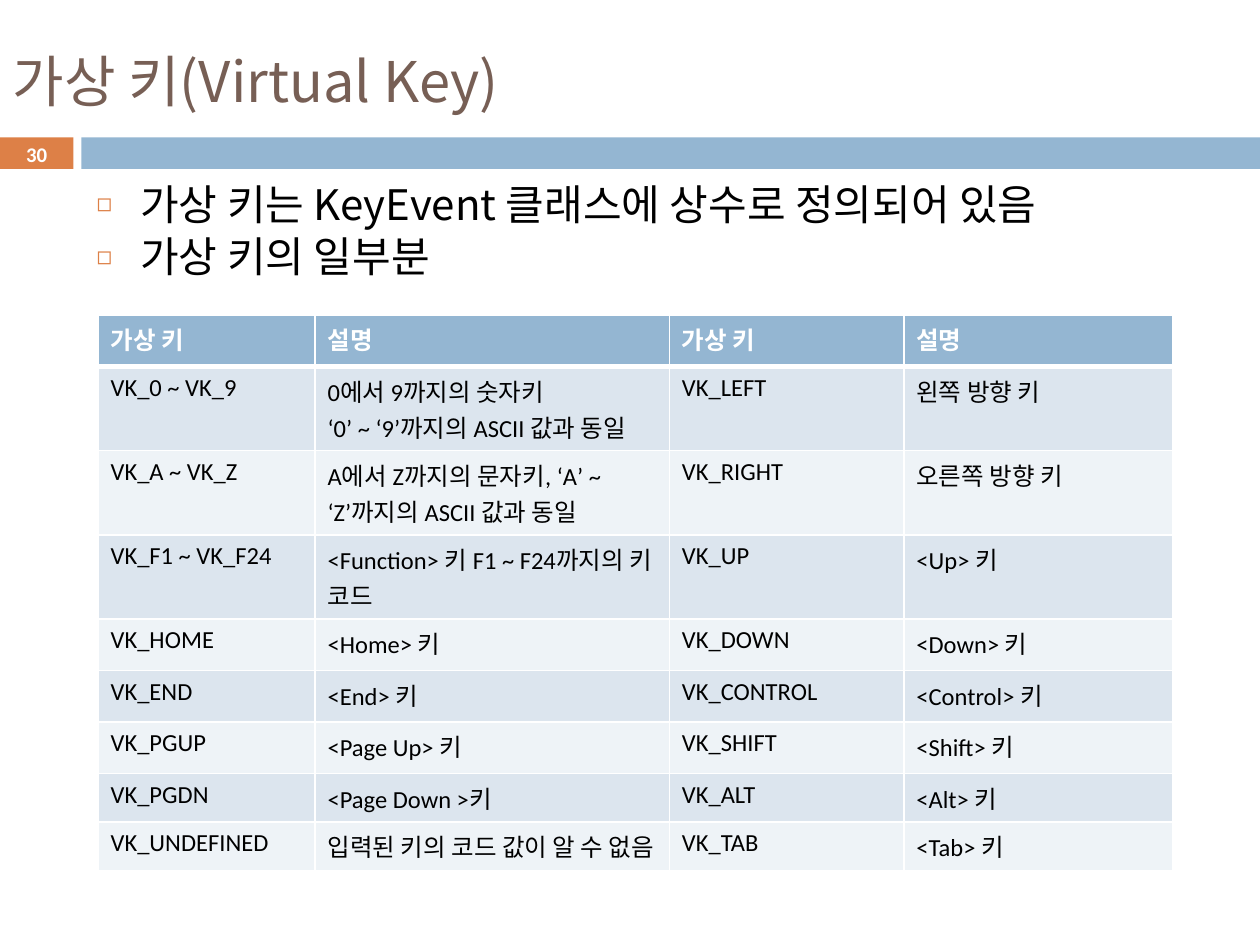
from dataclasses import dataclass

from lxml.etree import SubElement
from pptx import Presentation
from pptx.dml.color import RGBColor
from pptx.enum.shapes import MSO_SHAPE as Shape
from pptx.enum.text import MSO_ANCHOR as Anchor, MSO_AUTO_SIZE as AutoSize, PP_ALIGN as Align
from pptx.oxml import parse_xml
from pptx.oxml.ns import nsdecls, qn
from pptx.util import Pt


@dataclass(frozen=True)
class Theme:
    korean: str = "Noto Sans CJK KR"
    latin: str = "Calibri"
    brown: str = "775F55"
    orange: str = "DD8047"
    blue: str = "94B6D2"
    bands: tuple = ("DCE5EE", "EEF3F7")
    white: str = "FFFFFF"
    black: str = "000000"
    title_size: float = 32
    body_size: float = 24
    table_size: float = 14
    number_size: float = 11.9


THEME = Theme()

POINTS = ["가상 키는 KeyEvent 클래스에 상수로 정의되어 있음", "가상 키의 일부분"]
COLUMN_WIDTHS = [124, 202.5, 134, 153.5]
ROW_HEIGHTS = [29.5] * 7 + [14.5] * 2
KEYS = [
    ("가상 키", "설명", "가상 키", "설명"),
    ("VK_0 ~ VK_9", "0에서 9까지의 숫자키\n‘0’ ~ ‘9’까지의 ASCII 값과 동일", "VK_LEFT", "왼쪽 방향 키"),
    ("VK_A ~ VK_Z", "A에서 Z까지의 문자키, ‘A’ ~ ‘Z’까지의 ASCII 값과 동일", "VK_RIGHT", "오른쪽 방향 키"),
    ("VK_F1 ~ VK_F24", "<Function> 키 F1 ~ F24까지의 키 코드", "VK_UP", "<Up> 키"),
    ("VK_HOME", "<Home> 키", "VK_DOWN", "<Down> 키"),
    ("VK_END", "<End> 키", "VK_CONTROL", "<Control> 키"),
    ("VK_PGUP", "<Page Up> 키", "VK_SHIFT", "<Shift> 키"),
    ("VK_PGDN", "<Page Down >키", "VK_ALT", "<Alt> 키"),
    ("VK_UNDEFINED", "입력된 키의 코드 값이 알 수 없음", "VK_TAB", "<Tab> 키"),
]


def write(frame, text, *, size, color, font=THEME.latin, bold=False, align=Align.LEFT):
    """Fill a text frame, one paragraph for each line of text."""
    frame.text = text
    for paragraph in frame.paragraphs:
        paragraph.alignment = align
        for run in paragraph.runs:
            run.font.size = Pt(size)
            run.font.name = font
            run.font.bold = bold
            run.font.color.rgb = RGBColor.from_string(color)
            SubElement(run.font._element, qn("a:ea")).set("typeface", THEME.korean)


def place(shape, left, top, width, height):
    shape.left, shape.top = Pt(left), Pt(top)
    shape.width, shape.height = Pt(width), Pt(height)


def add_bar(slide, left, width, color):
    bar = slide.shapes.add_shape(Shape.RECTANGLE, Pt(left), Pt(78.5), Pt(width), Pt(18))
    bar.shadow.inherit = False
    bar.fill.solid()
    bar.fill.fore_color.rgb = RGBColor.from_string(color)
    bar.line.fill.background()


def add_page_number(slide, number):
    box = slide.shapes.add_textbox(Pt(0), Pt(78.5), Pt(42), Pt(19.5))
    frame = box.text_frame
    frame.word_wrap = True
    frame.vertical_anchor = Anchor.MIDDLE
    frame.margin_top = frame.margin_bottom = 0
    write(frame, number, size=THEME.number_size, color=THEME.white, bold=True, align=Align.CENTER)


def set_title(title, text):
    place(title, 0, 18, 720, 55.5)
    title.text_frame.auto_size = AutoSize.NONE
    title.text_frame.vertical_anchor = Anchor.MIDDLE
    write(title.text_frame, text, size=THEME.title_size, color=THEME.brown, font=THEME.korean)


def set_points(body, points):
    place(body, 48, 101.5, 642.5, 416)
    body.text_frame.auto_size = AutoSize.NONE
    write(body.text_frame, "\n".join(points), size=THEME.body_size, color=THEME.black, font=THEME.korean)
    for index, paragraph in enumerate(body.text_frame.paragraphs):
        props = paragraph._p.get_or_add_pPr()
        props.set("marL", str(Pt(25)))
        props.set("indent", str(-Pt(25)))
        bullet_color = SubElement(props, qn("a:buClr"))
        SubElement(bullet_color, qn("a:srgbClr")).set("val", THEME.orange)
        SubElement(props, qn("a:buSzPct")).set("val", "60000")
        SubElement(props, qn("a:buChar")).set("char", "◻")
        paragraph.line_spacing = 0.9
        paragraph.space_before = Pt(4 if index else 0)


def set_borders(cell, **widths):
    """Draw white cell borders; widths are given by side: L, R, T, B."""
    props = cell._tc.get_or_add_tcPr()
    for position, (side, width) in enumerate(widths.items()):
        props.insert(position, parse_xml(
            f'<a:ln{side} {nsdecls("a")} w="{Pt(width)}"><a:solidFill>'
            f'<a:srgbClr val="{THEME.white}"/></a:solidFill></a:ln{side}>'))


def add_key_table(slide, rows):
    table = slide.shapes.add_table(len(rows), len(COLUMN_WIDTHS), Pt(56), Pt(180),
                                   Pt(sum(COLUMN_WIDTHS)), Pt(sum(ROW_HEIGHTS))).table
    for column, width in zip(table.columns, COLUMN_WIDTHS):
        column.width = Pt(width)
    for row_index, (row, height, texts) in enumerate(zip(table.rows, ROW_HEIGHTS, rows)):
        row.height = Pt(height)
        header = row_index == 0
        fill = THEME.blue if header else THEME.bands[(row_index - 1) % 2]
        for cell, text in zip(row.cells, texts):
            cell.fill.solid()
            cell.fill.fore_color.rgb = RGBColor.from_string(fill)
            set_borders(cell, L=1, R=1, T=3 if row_index == 1 else 1, B=3 if header else 1)
            write(cell.text_frame, text, size=THEME.table_size, bold=header,
                  color=THEME.white if header else THEME.black)


def main():
    deck = Presentation()
    deck.slide_width, deck.slide_height = Pt(720), Pt(540)
    slide = deck.slides.add_slide(deck.slide_layouts[1])

    # Band under the title
    add_bar(slide, 0, 42, THEME.orange)
    add_bar(slide, 46.5, 673.5, THEME.blue)

    # Title and points
    set_title(slide.shapes.title, "가상 키(Virtual Key)")
    set_points(slide.placeholders[1], POINTS)

    # Table of key constants
    add_key_table(slide, KEYS)

    add_page_number(slide, "30")
    deck.save("out.pptx")


if __name__ == "__main__":
    main()
